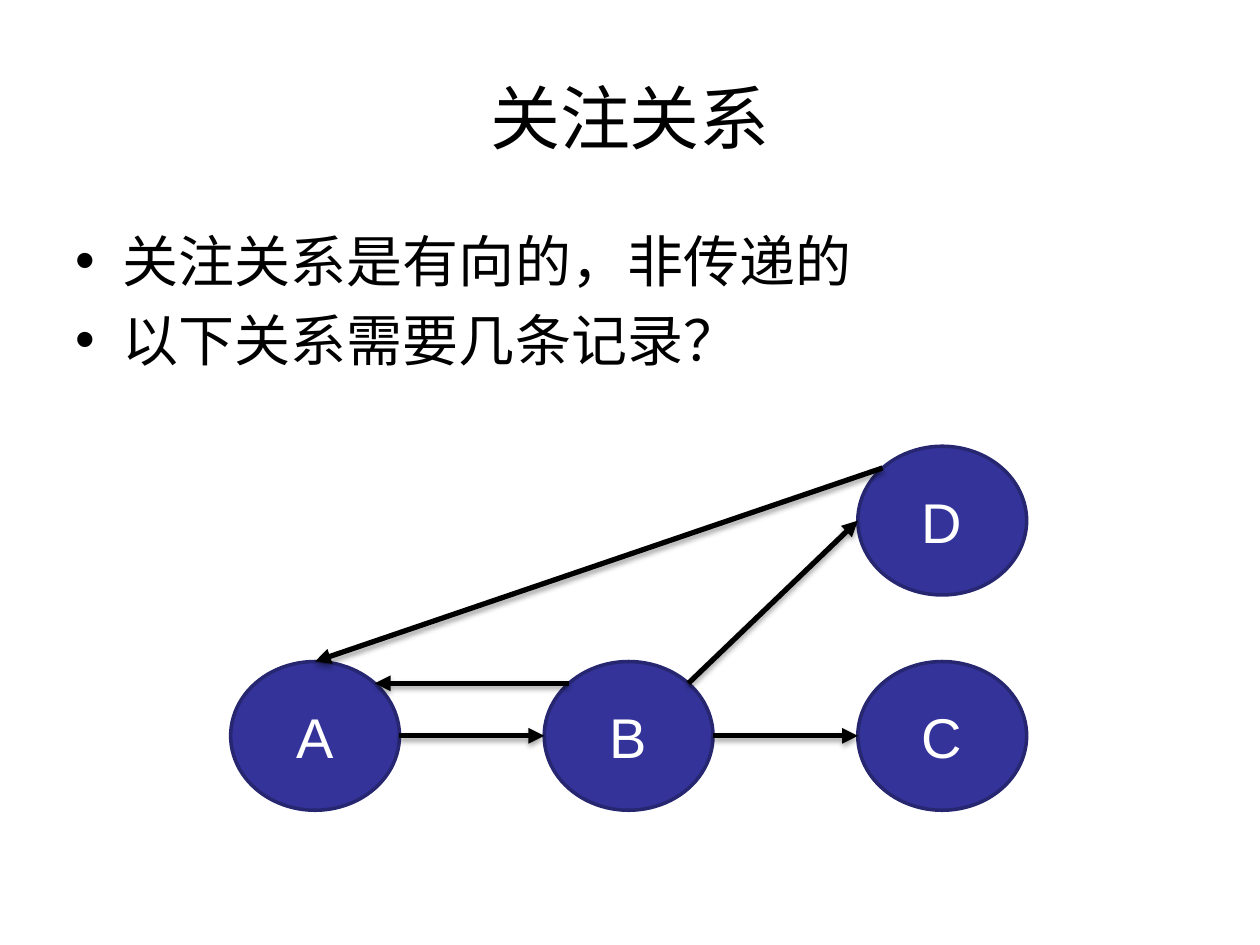
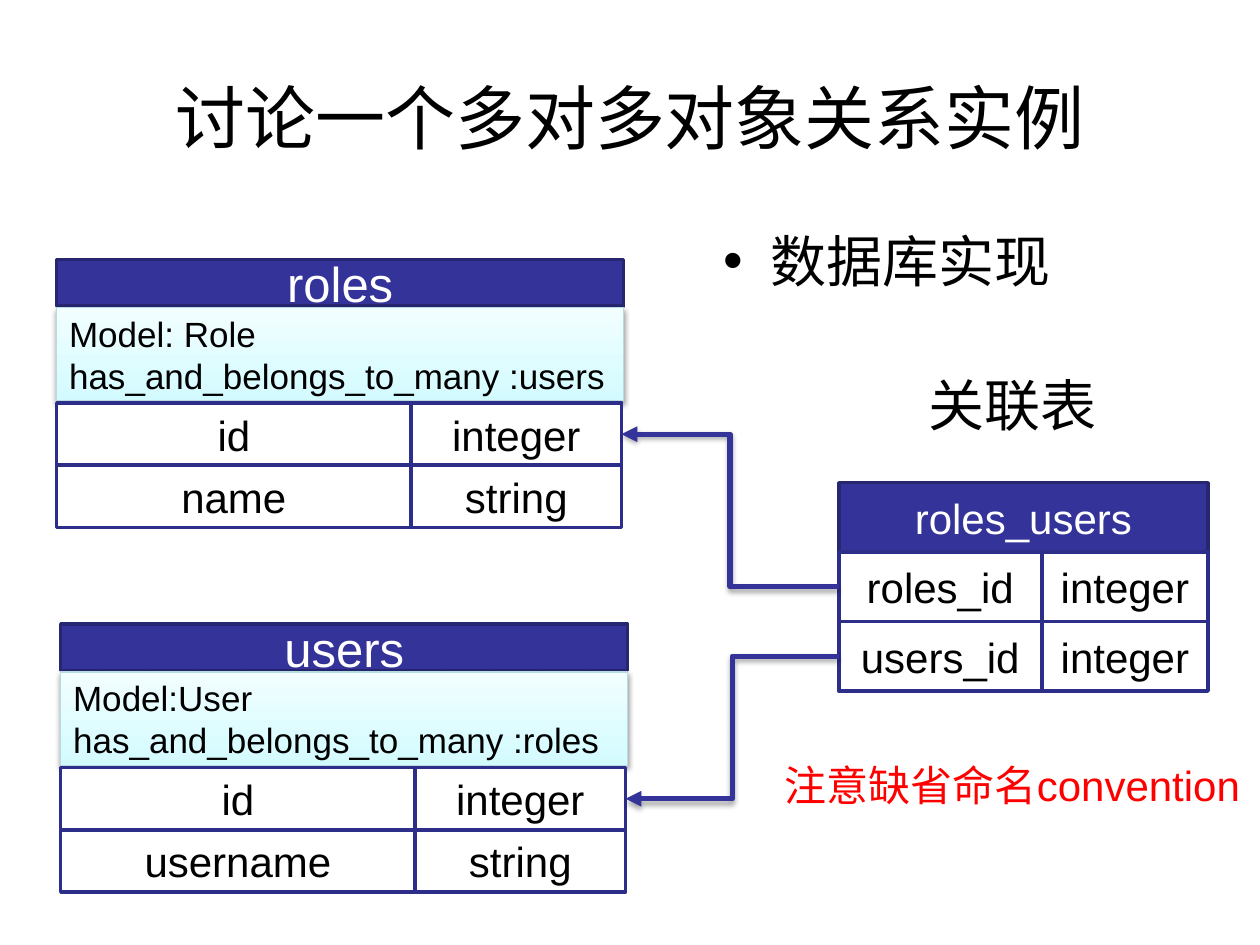
"""Build two slides on follow relations and a many-to-many database example."""
import math

import lxml.etree
import pptx
import pptx.dml.color
import pptx.enum.shapes
import pptx.enum.text
import pptx.oxml.ns
import pptx.util

Pt = pptx.util.Pt
qn = pptx.oxml.ns.qn
SHAPE = pptx.enum.shapes.MSO_SHAPE
CONNECTOR = pptx.enum.shapes.MSO_CONNECTOR
ALIGN = pptx.enum.text.PP_ALIGN
ANCHOR = pptx.enum.text.MSO_ANCHOR

COLOURS = {
    "text": "000000",
    "paper": "FFFFFF",
    "accent": "333399",
    "accent_edge": "262671",
    "cell_edge": "2D2D8A",
    "model_bottom": "D3FBFF",
    "model_top": "F2FEFF",
    "model_edge": "B6DCDF",
    "warning": "FF0000",
}


def rgb(name):
    return pptx.dml.color.RGBColor.from_string(COLOURS[name])


def write(frame, lines, size=24, colour="text", align=ALIGN.CENTER, gap=0):
    for number, line in enumerate(lines):
        paragraph = frame.add_paragraph() if number else frame.paragraphs[0]
        paragraph.text = line
        paragraph.alignment = align
        paragraph.space_before = Pt(gap if number else 0)
        paragraph.font.size = Pt(size)
        paragraph.font.name = "Arial"
        paragraph.font.color.rgb = rgb(colour)


class Deck:
    def __init__(self):
        self.presentation = pptx.Presentation()
        self.presentation.slide_width = Pt(720)
        self.presentation.slide_height = Pt(540)

    def start_slide(self, title, points, left, width):
        layout = self.presentation.slide_layouts[1]
        self.slide = self.presentation.slides.add_slide(layout)
        heading, body = self.slide.placeholders
        self.place(heading, 36, 21.6, 648, 90)
        self.place(body, left, 126, width, 356.4)
        write(heading.text_frame, [title], size=40)
        write(body.text_frame, points, size=32, align=ALIGN.LEFT, gap=6.4)

    def place(self, holder, left, top, width, height):
        holder.left, holder.top = Pt(left), Pt(top)
        holder.width, holder.height = Pt(width), Pt(height)

    def shadow(self, properties, opacity, distance):
        effects = properties.find(qn("a:effectLst"))
        if effects is None:
            effects = lxml.etree.SubElement(properties, qn("a:effectLst"))
        outer = lxml.etree.SubElement(
            effects, qn("a:outerShdw"), blurRad=str(Pt(3.1)),
            dist=str(Pt(distance)), dir="5400000", rotWithShape="0")
        black = lxml.etree.SubElement(outer, qn("a:srgbClr"), val=COLOURS["text"])
        lxml.etree.SubElement(black, qn("a:alpha"), val=str(opacity * 1000))

    def box(self, area, lines, kind=SHAPE.RECTANGLE, parent=None, fill="accent",
            edge="accent_edge", edge_width=2, **text_format):
        shapes = (parent or self.slide).shapes
        shape = shapes.add_shape(kind, *map(Pt, area))
        shape.shadow.inherit = False
        shape.fill.solid()
        shape.fill.fore_color.rgb = rgb(fill)
        shape.line.color.rgb = rgb(edge)
        shape.line.width = Pt(edge_width)
        shape.text_frame.word_wrap = True
        shape.text_frame.vertical_anchor = ANCHOR.MIDDLE
        write(shape.text_frame, lines, **text_format)
        return shape

    def person(self, name, left, top, width=96.5, height=85):
        self.box((left, top, width, height), [name], kind=SHAPE.OVAL,
                 size=32, colour="paper")

        def edge_point(degrees):
            angle = math.radians(degrees)
            return (left + width / 2 * (1 + math.cos(angle)),
                    top + height / 2 * (1 - math.sin(angle)))
        return edge_point

    def arrow(self, start, end, colour="text", kind=CONNECTOR.STRAIGHT):
        connector = self.slide.shapes.add_connector(
            kind, *(Pt(value) for value in (*start, *end)))
        connector.line.color.rgb = rgb(colour)
        connector.line.width = Pt(3)
        properties = connector.element.spPr
        lxml.etree.SubElement(
            properties.find(qn("a:ln")), qn("a:tailEnd"), type="triangle")
        self.shadow(properties, 35, 1.8)

    def model(self, area, lines, parent):
        shape = self.box(area, lines, parent=parent, edge="model_edge",
                         edge_width=0.75, size=20, align=ALIGN.LEFT)
        shape.fill.gradient()
        shape.fill.gradient_angle = 90
        for stop, colour in zip(shape.fill.gradient_stops,
                                ("model_bottom", "model_top")):
            stop.color.rgb = rgb(colour)
        self.shadow(shape.element.spPr, 38, 1.6)

    def schema(self, name, left, top, fields, widths=(202.5, 120.3), width=324,
               name_height=26.6, name_size=28, rows_offset=82, row_height=35.5,
               model=None):
        """Draw a database table and return the left and right mid-points of its rows."""
        group = self.slide.shapes.add_group_shape()
        self.box((left, top, width, name_height), [name], parent=group,
                 size=name_size, colour="paper")
        if model:
            self.model((left, top + 27.3, width, 53.3), model, group)
        ends = []
        for row, field in enumerate(fields):
            row_top = top + rows_offset + row * row_height
            for column, label in enumerate(field):
                cell_left = left + sum(widths[:column])
                self.box((cell_left, row_top, widths[column], row_height), [label],
                         parent=group, fill="paper", edge="cell_edge")
            middle = row_top + row_height / 2
            ends.append(((left, middle), (left + sum(widths), middle)))
        return ends

    def note(self, area, lines, **text_format):
        frame = self.slide.shapes.add_textbox(*map(Pt, area)).text_frame
        frame.word_wrap = False
        write(frame, lines, **text_format)
        return frame


def follow_slide(deck):
    deck.start_slide("关注关系", ["关注关系是有向的，非传递的", "以下关系需要几条记录？"],
                     36, 648)
    a, b, c = (deck.person(name, 131.8 + 179.2 * column, 378)
               for column, name in enumerate("ABC"))
    d = deck.person("D", 490.2, 255)
    for follower, leaving, followed, arriving in (
            (a, 0, b, 180), (b, 0, c, 180), (b, 45, d, 180),
            (b, 135, a, 45), (d, 135, a, 90)):
        deck.arrow(follower(leaving), followed(arriving))


def many_to_many_slide(deck):
    deck.start_slide("讨论一个多对多对象关系实例", ["数据库实现"], 406, 278)
    links = deck.schema(
        "roles_users", 479.3, 275.8,
        [("roles_id", "integer"), ("users_id", "integer")],
        widths=(116, 95), width=211, name_height=39.7, name_size=24,
        rows_offset=39.7, row_height=39.7)
    users = deck.schema(
        "users", 34.7, 356.7, [("id", "integer"), ("username", "string")],
        model=["Model:User", "has_and_belongs_to_many :roles"])
    roles = deck.schema(
        "roles", 32.4, 148.4, [("id", "integer"), ("name", "string")],
        model=["Model: Role", "has_and_belongs_to_many :users"])
    for link, target in zip(links, (roles, users)):
        deck.arrow(link[0], target[0][1], colour="accent", kind=CONNECTOR.ELBOW)
    remark = deck.note((437, 208, 283, 269), ["关联表", "注意缺省命名convention"],
                       size=32, gap=184)
    convention = remark.paragraphs[1].font
    convention.size = Pt(24)
    convention.color.rgb = rgb("warning")


def main():
    deck = Deck()
    follow_slide(deck)
    many_to_many_slide(deck)
    deck.presentation.save("out.pptx")


if __name__ == "__main__":
    main()
